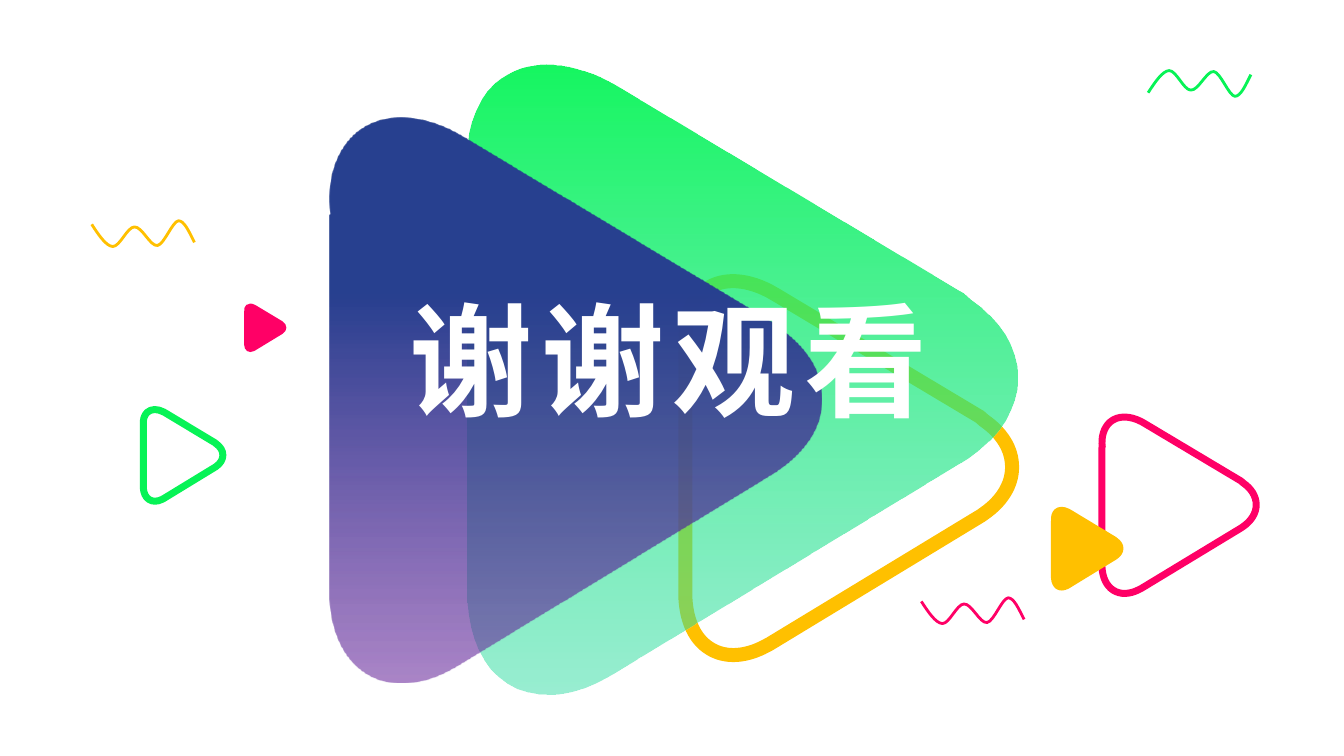
from lxml.etree import SubElement
from pptx import Presentation
from pptx.dml.color import RGBColor
from pptx.enum.text import MSO_ANCHOR, MSO_AUTO_SIZE, PP_ALIGN
from pptx.oxml.ns import qn
from pptx.util import Pt

GREEN = RGBColor(0x07, 0xF3, 0x56)
PINK = RGBColor(0xFF, 0x00, 0x66)
YELLOW = RGBColor(0xFF, 0xC0, 0x00)
LIME = RGBColor(0x07, 0xF7, 0x57)
MINT = RGBColor(0x36, 0xDE, 0xA6)
NAVY = RGBColor(0x27, 0x40, 0x8F)
PURPLE = RGBColor(0x70, 0x30, 0xA0)
WHITE = RGBColor(0xFF, 0xFF, 0xFF)

# Outlines on a 1000 x 1000 grid: a pair is a line's end, a triple of pairs a Bezier curve.
TRIANGLE = [
    [(498, 0)],
    [(546, 0), (590, 33), (622, 86)],
    [(627, 94)], [(971, 743)], [(981, 765)],
    [(1005, 822), (1008, 881), (982, 927)],
    [(957, 972), (909, 996), (851, 1000)],
    [(840, 1000)], [(173, 1000)], [(171, 998)],
    [(114, 1006), (62, 989), (30, 949)],
    [(-10, 897), (-8, 820), (27, 743)],
    [(38, 721)], [(363, 99)], [(373, 86)],
    [(405, 33), (448, 0), (498, 0)],
]
WAVE = [
    [(0, 860)],
    [(70, 430), (140, 20), (205, 0)],
    [(275, 0), (345, 750), (415, 760)],
    [(490, 780), (570, 0), (640, 40)],
    [(705, 80), (785, 970), (845, 1000)],
    [(900, 1000), (945, 600), (1000, 160)],
]


def add_outline(slide, segments, left, top, width, height, close):
    """Draw the segments, scaled to the frame, with true curves."""
    points = [point for segment in segments for point in segment]
    builder = slide.shapes.build_freeform(
        *points[0], scale=(Pt(width) / 1000, Pt(height) / 1000))
    builder.add_line_segments(points[1:], close=close)
    outline = builder.convert_to_shape(Pt(left), Pt(top))
    outline.shadow.inherit = False
    steps = iter(outline._element.findall(".//" + qn("a:lnTo")))
    for segment in segments[1:]:
        first, *others = [next(steps) for _ in segment]
        if others:
            first.tag = qn("a:cubicBezTo")
            for step in others:
                first.append(step[0])
                step.getparent().remove(step)
    return outline


def set_line(outline, color, weight):
    outline.fill.background()
    outline.line.color.rgb = color
    outline.line.width = Pt(weight)


def add_triangle(slide, left, top, width, height, fill=None, line=None, weight=5):
    """The frame is that of the upward triangle, which is then turned to the right."""
    triangle = add_outline(slide, TRIANGLE, left, top, width, height, close=True)
    triangle.rotation = 90
    if line is not None:
        set_line(triangle, line, weight)
        return triangle
    triangle.line.fill.background()
    if fill is not None:
        triangle.fill.solid()
        triangle.fill.fore_color.rgb = fill
    return triangle


def set_gradient(outline, stops):
    """Each of the two stops is a position, a colour and an opacity in percent."""
    outline.fill.gradient()
    outline.fill.gradient_angle = 0
    stop_elements = outline._element.spPr.findall(".//" + qn("a:gs"))
    for stop, element, (position, color, opacity) in zip(
            outline.fill.gradient_stops, stop_elements, stops):
        stop.position = position
        stop.color.rgb = color
        SubElement(element[0], qn("a:alpha"), val=str(opacity * 1000))


def add_wave(slide, left, top, color, flipped=False):
    segments = WAVE
    if flipped:
        segments = [[(x, 1000 - y) for x, y in segment] for segment in WAVE]
    set_line(add_outline(slide, segments, left, top, 73.4, 18.4, close=False), color, 2)


def set_text(frame, text, *, size, color, font="Calibri", bold=False, spacing=0,
             align=PP_ALIGN.CENTER):
    frame.word_wrap = True
    frame.auto_size = MSO_AUTO_SIZE.NONE
    frame.vertical_anchor = MSO_ANCHOR.TOP
    paragraph = frame.paragraphs[0]
    paragraph.alignment = align
    run = paragraph.add_run()
    run.text = text
    run.font.name = font
    run.font.size = Pt(size)
    run.font.bold = bold
    run.font.color.rgb = color
    run.font._element.set("spc", str(spacing * 100))


def add_closing_title(slide):
    title = slide.shapes.title
    title.left, title.top = Pt(224.6), Pt(199.4)
    title.width, title.height = Pt(506.2), Pt(113.8)
    set_text(title.text_frame, "谢谢观看", size=88, color=WHITE, bold=True, spacing=6)
    slide.shapes._spTree.append(title._element)  # in front of the triangles


def main():
    deck = Presentation()
    deck.slide_width, deck.slide_height = Pt(960), Pt(540)
    slide = deck.slides.add_slide(deck.slide_layouts[5])

    add_triangle(slide, 779, 305.3, 126, 110.2, line=PINK)
    add_triangle(slide, 746.6, 365.8, 59.8, 51.8, fill=YELLOW)
    add_triangle(slide, 97.9, 296.6, 65.5, 56.9, line=GREEN)
    add_triangle(slide, 172.1, 218.9, 34.6, 30.2, fill=PINK)
    add_triangle(slide, 472.3, 216.7, 267.1, 233.3, line=YELLOW, weight=10)

    back_triangle = add_triangle(slide, 304.6, 73.4, 450, 392.4)
    set_gradient(back_triangle, [(0, LIME, 94), (1, MINT, 51)])
    front_triangle = add_triangle(slide, 208.8, 108.7, 403.2, 351.4)
    set_gradient(front_triangle, [(0.31, NAVY, 100), (1, PURPLE, 58)])

    add_wave(slide, 820.1, 50.4, GREEN)
    add_wave(slide, 65.5, 157.7, YELLOW, flipped=True)
    add_wave(slide, 658.1, 427, PINK, flipped=True)

    add_closing_title(slide)
    deck.save("out.pptx")


if __name__ == "__main__":
    main()
